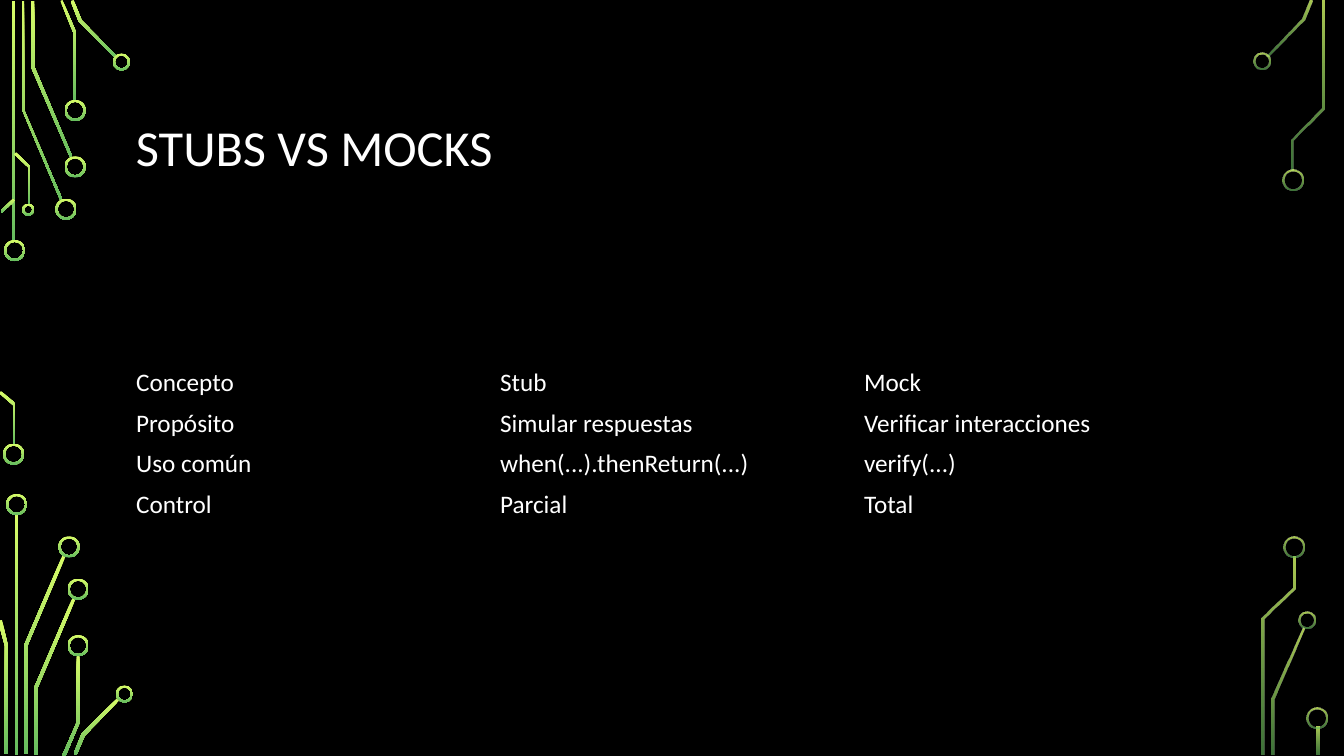
from dataclasses import dataclass

import pptx
import pptx.dml.color
import pptx.enum.shapes
import pptx.enum.text
import pptx.oxml
import pptx.oxml.ns
import pptx.util

PX = 9144  # EMU per px, 100 px to the inch
COLORS = {"bg": "000000", "text": "FFFFFF", "lime": "D8FC68", "green": "66BD5F"}
SHAPES = pptx.enum.shapes.MSO_SHAPE
MIDDLE = pptx.enum.text.MSO_ANCHOR.MIDDLE
NO_STYLE = "{2D5ABB26-0587-4C30-8999-92F81FD0307C}"
RING_BAND = 2


@dataclass
class Ring:
    x: int
    y: int
    size: int = 21


@dataclass
class Bar:
    x: int
    y: int
    h: int
    w: int = 3


@dataclass
class Trace:
    points: list[tuple[int, int]]


@dataclass
class Circuit:
    pieces: list[Ring | Bar | Trace]
    alphas: tuple[int, int] = (100, 100)


# Circuit decoration on both edges
LEFT = Circuit([
    Bar(12, 1, 239),
    Trace([(60, 199), (22, 109), (22, 1), (24, 1), (24, 109), (62, 198)]),
    Trace([(70, 157), (31, 67), (31, 1), (34, 1), (34, 66), (72, 156)]),
    Trace([(76, 100), (73, 100), (73, 33), (60, 1), (62, 0), (76, 33)]),
    Trace([(115, 58), (78, 21), (70, 1), (73, 0), (81, 20), (116, 56)]),
    Trace([(2, 211), (1, 209), (13, 197), (15, 199)]),
    Trace([(15, 441), (13, 441), (13, 402), (-1, 390), (1, 388), (15, 400)]),
    Trace([(30, 203), (28, 203), (28, 166), (14, 153), (16, 151), (30, 165)]),
    Ring(4, 238), Ring(3, 440), Ring(55, 197), Ring(64, 155), Ring(64, 99),
    Ring(112, 53, 17), Ring(22, 202, 12),
    Bar(15, 510, 239),
    Trace([(27, 748), (24, 748), (24, 640), (62, 551), (65, 552), (27, 641)]),
    Trace([(8, 748), (5, 748), (5, 641), (-2, 616), (2, 615), (8, 641)]),
    Trace([(37, 749), (34, 749), (34, 682), (72, 593), (75, 594), (37, 683)]),
    Trace([(65, 750), (62, 749), (76, 717), (76, 650), (79, 650), (79, 717)]),
    Trace([(76, 749), (73, 748), (81, 728), (117, 692), (119, 694), (84, 730)]),
    Ring(6, 490), Ring(58, 532), Ring(67, 574), Ring(67, 630), Ring(115, 680, 17),
])
RIGHT = Circuit([
    Trace([(1258, 56), (1256, 55), (1291, 19), (1299, 0), (1302, 1), (1294, 20)]),
    Trace([(1283, 169), (1281, 169), (1281, 138), (1311, 107), (1311, 1),
           (1314, 1), (1314, 108), (1283, 139)]),
    Trace([(1264, 749), (1261, 749), (1261, 693), (1292, 623), (1294, 624), (1264, 694)]),
    Trace([(1254, 749), (1251, 749), (1251, 613), (1282, 583), (1282, 552),
           (1285, 552), (1285, 584), (1254, 614)]),
    Bar(1306, 721, 28),
    Ring(1243, 52, 17), Ring(1272, 168), Ring(1288, 607, 17), Ring(1273, 532), Ring(1296, 702),
], alphas=(80, 60))

ROWS = [
    ("Concepto", "Stub", "Mock"),
    ("Propósito", "Simular respuestas", "Verificar interacciones"),
    ("Uso común", "when(...).thenReturn(...)", "verify(...)"),
    ("Control", "Parcial", "Total"),
]
TITLE_FORMAT = {"name": "Calibri", "size": pptx.util.Pt(36)}
CELL_FORMAT = {"name": "Calibri", "size": pptx.util.Pt(18)}


def rgb(name: str) -> pptx.dml.color.RGBColor:
    return pptx.dml.color.RGBColor.from_string(COLORS[name])


def box(*lengths: int) -> list[int]:
    return [n * PX for n in lengths]


def add_piece(shapes, piece: Ring | Bar | Trace):
    if isinstance(piece, Ring):
        sp = shapes.add_shape(SHAPES.DONUT, *box(piece.x, piece.y, piece.size, piece.size))
        sp.adjustments[0] = RING_BAND / piece.size
        return sp
    if isinstance(piece, Bar):
        return shapes.add_shape(SHAPES.RECTANGLE, *box(piece.x, piece.y, piece.w, piece.h))
    builder = shapes.build_freeform(*piece.points[0], scale=PX)
    builder.add_line_segments(piece.points[1:], close=True)
    return builder.convert_to_shape()


def paint(sp, alphas: tuple[int, int]) -> None:
    sp.shadow.inherit = False
    sp.line.fill.background()
    sp.fill.gradient()
    sp.fill.gradient_angle = 270
    for stop, name in zip(sp.fill.gradient_stops, ("lime", "green")):
        stop.color.rgb = rgb(name)
    for clr, alpha in zip(sp._element.spPr.iter(pptx.oxml.ns.qn("a:srgbClr")), alphas):
        if alpha < 100:
            clr.append(pptx.oxml.parse_xml(
                f'<a:alpha {pptx.oxml.ns.nsdecls("a")} val="{alpha * 1000}"/>'))


def write(p, text: str, values: dict) -> None:
    r = p.add_run()
    r.text = text
    for key, value in values.items():
        setattr(r.font, key, value)
    r.font.color.rgb = rgb("text")


def add_title(shapes, text: str) -> None:
    tf = shapes.add_textbox(*box(125, 68, 1083, 162)).text_frame
    for key, value in {"word_wrap": True, "vertical_anchor": MIDDLE}.items():
        setattr(tf, key, value)
    tf.paragraphs[0].line_spacing = 0.9
    write(tf.paragraphs[0], text, TITLE_FORMAT)


def add_comparison(shapes, rows: list[tuple[str, ...]]) -> None:
    table = shapes.add_table(len(rows), len(rows[0]), *box(125, 360, 1083, 160)).table
    for key in ("first_row", "horz_banding"):
        setattr(table, key, False)
    table._tbl.tblPr.find(pptx.oxml.ns.qn("a:tableStyleId")).text = NO_STYLE
    for i, row in enumerate(rows):
        for j, text in enumerate(row):
            cell = table.cell(i, j)
            cell.fill.background()
            cell.vertical_anchor = MIDDLE
            write(cell.text_frame.paragraphs[0], text, CELL_FORMAT)


def main() -> None:
    prs = pptx.Presentation()
    prs.slide_width, prs.slide_height = box(1333, 750)
    s = prs.slides.add_slide(prs.slide_layouts[6])
    s.background.fill.solid()
    s.background.fill.fore_color.rgb = rgb("bg")

    # Circuits sit behind the text
    for circuit in (LEFT, RIGHT):
        for piece in circuit.pieces:
            paint(add_piece(s.shapes, piece), circuit.alphas)

    # Title and table
    add_title(s.shapes, "STUBS VS MOCKS")
    add_comparison(s.shapes, ROWS)
    prs.save("out.pptx")


if __name__ == "__main__":
    main()
